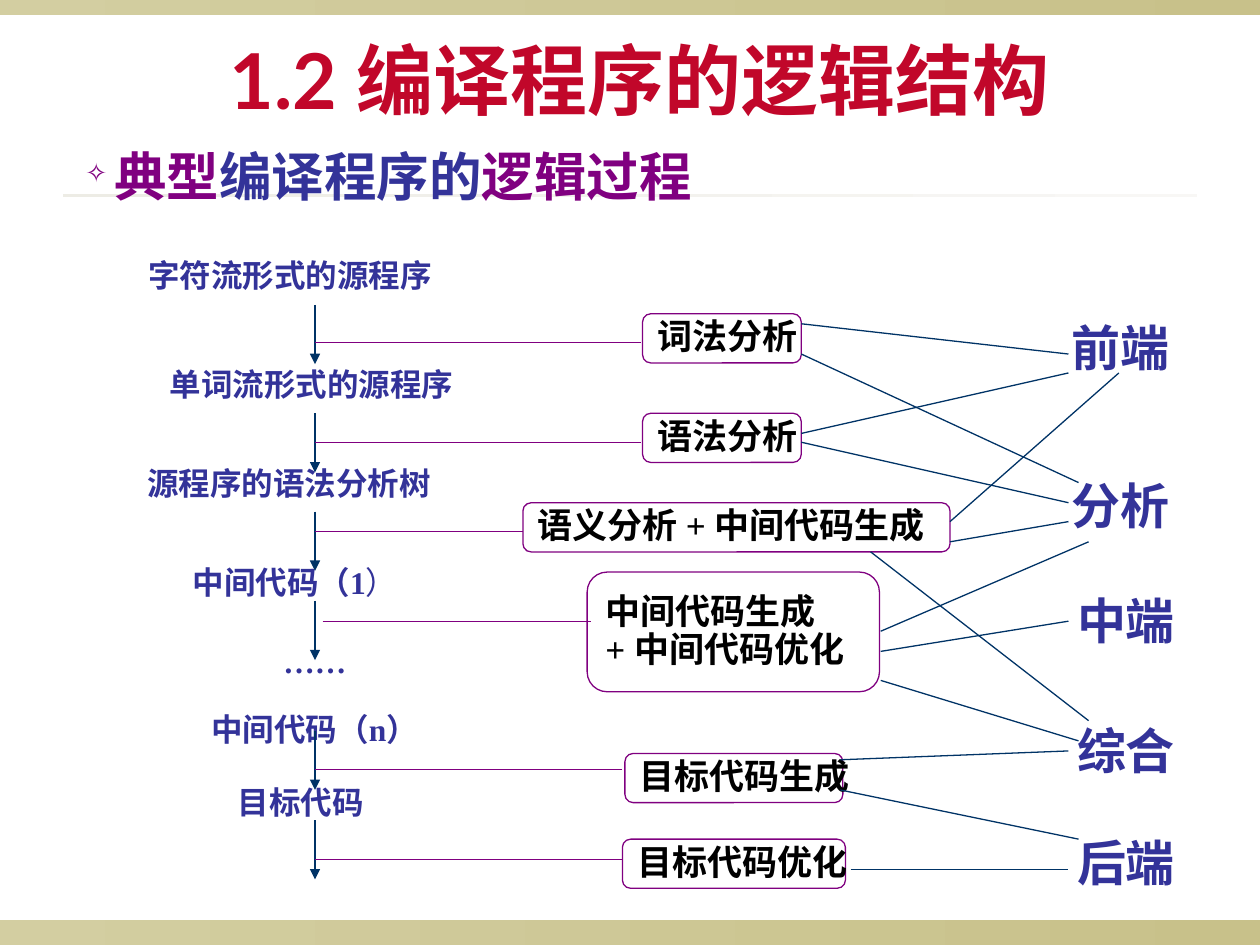
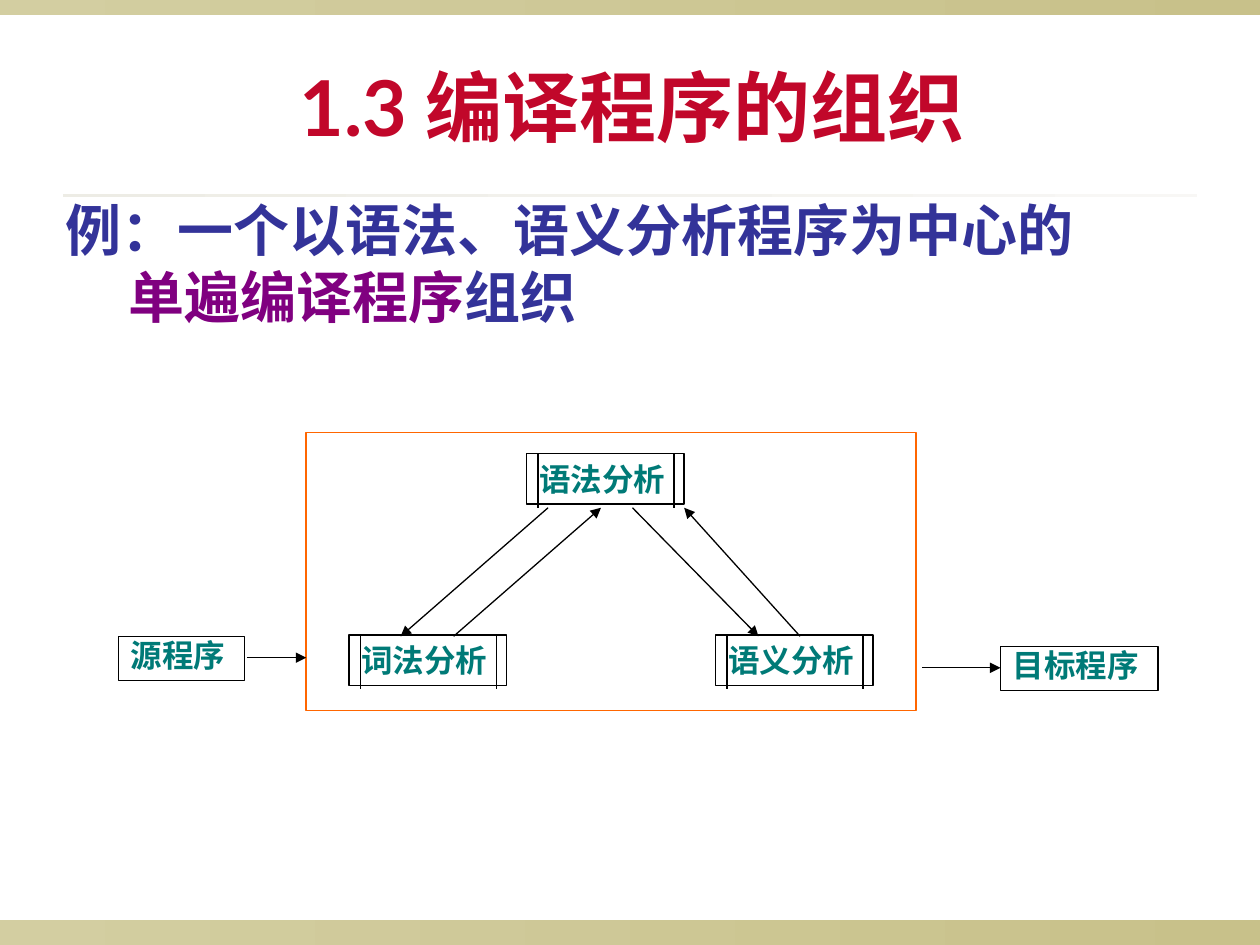
import pptx
import pptx.util
import pptx.dml.color
import pptx.enum.shapes
import pptx.enum.text
import pptx.oxml.ns
import lxml.etree

Inches = pptx.util.Inches
Pt = pptx.util.Pt
RGBColor = pptx.dml.color.RGBColor
Shape = pptx.enum.shapes.MSO_SHAPE
Align = pptx.enum.text.PP_ALIGN
Anchor = pptx.enum.text.MSO_ANCHOR
qn = pptx.oxml.ns.qn

RED = RGBColor(0xC1, 0x07, 0x2A)
BLUE = RGBColor(0x33, 0x33, 0x99)
PURPLE = RGBColor(0x80, 0x00, 0x80)
NAVY = RGBColor(0x00, 0x33, 0x66)
TEAL = RGBColor(0x00, 0x7A, 0x77)
ORANGE = RGBColor(0xFF, 0x66, 0x00)
BLACK = RGBColor(0, 0, 0)
WHITE = RGBColor(0xFF, 0xFF, 0xFF)
BAND_START = RGBColor(0xD3, 0xCE, 0xA1)
BAND_END = RGBColor(0xC8, 0xC1, 0x8A)
RULE_START = RGBColor(0xED, 0xEC, 0xE5)
RULE_END = RGBColor(0xF8, 0xF7, 0xF5)


def write(shape, lines, size, color, font="Times New Roman", align=Align.LEFT,
          spacing=1.0, wrap=True, anchor=Anchor.TOP):
    frame = shape.text_frame
    frame.word_wrap = wrap
    frame.vertical_anchor = anchor
    for index, line in enumerate(lines):
        paragraph = frame.paragraphs[0] if index == 0 else frame.add_paragraph()
        paragraph.alignment = align
        paragraph.line_spacing = spacing
        paragraph.font.name = font
        paragraph.font.size = Pt(size)
        paragraph.font.bold = True
        paragraph.font.color.rgb = color
        for text, run_color in line:
            run = paragraph.add_run()
            run.text = text
            if run_color:
                run.font.color.rgb = run_color
    return frame


def add_line(slide, x1, y1, x2, y2, color, arrow=False):
    line = slide.shapes.add_connector(
        pptx.enum.shapes.MSO_CONNECTOR.STRAIGHT,
        Inches(x1), Inches(y1), Inches(x2), Inches(y2))
    line.line.color.rgb = color
    line.line.width = Pt(0.75)
    if arrow:
        outline = line.line._get_or_add_ln()
        lxml.etree.SubElement(outline, qn("a:tailEnd"), type="triangle")
    lxml.etree.SubElement(line._element.spPr, qn("a:effectLst"))


presentation = pptx.Presentation()
presentation.slide_width = Inches(10)
presentation.slide_height = Inches(7.5)

bands = [
    (0, 7.3, 10, 0.2, BAND_START, BAND_END),
    (0, 0, 10, 0.12, BAND_START, BAND_END),
    (0.5, 1.54, 9, 0.02, RULE_START, RULE_END),
]
titles = [
    ("1.2 编译程序的逻辑结构", 0.58, 0, 9),
    ("1.3 编译程序的组织", 0.77, 0.21, 8.5),
]
slides = []
for title, left, top, width in titles:
    slide = presentation.slides.add_slide(presentation.slide_layouts[6])
    slides.append(slide)
    for x, y, w, h, start, end in bands:
        band = slide.shapes.add_shape(
            Shape.RECTANGLE, Inches(x), Inches(y), Inches(w), Inches(h))
        band.shadow.inherit = False
        band.line.fill.background()
        band.fill.gradient()
        band.fill.gradient_angle = 0
        for stop, color in zip(band.fill.gradient_stops, (start, end)):
            stop.color.rgb = color
    box = slide.shapes.add_textbox(Inches(left), Inches(top), Inches(width), Inches(1.25))
    write(box, [[(title, None)]], 44, RED, "Lato", Align.CENTER, anchor=Anchor.MIDDLE)

logic_slide, organization_slide = slides

heading = logic_slide.shapes.add_textbox(Inches(0.58), Inches(1.15), Inches(9), Inches(0.71))
frame = write(heading, [[("典型", PURPLE), ("编译程序的", None), ("逻辑过程", PURPLE)]],
              30, BLUE, "Arial", spacing=0.9)
properties = frame.paragraphs[0]._p.get_or_add_pPr()
properties.set("marL", str(Inches(0.23)))
properties.set("indent", str(-Inches(0.23)))
default_font = properties.find(qn("a:defRPr"))
bullet_color = lxml.etree.Element(qn("a:buClr"))
lxml.etree.SubElement(bullet_color, qn("a:srgbClr"), val=str(PURPLE))
default_font.addprevious(bullet_color)
default_font.addprevious(lxml.etree.Element(qn("a:buSzPct"), val="50000"))
default_font.addprevious(lxml.etree.Element(qn("a:buChar"), char="✧"))

phases = [
    (["词法分析"], 5.1, 2.49, 1.26, 0.39),
    (["语法分析"], 5.1, 3.28, 1.26, 0.39),
    (["语义分析 + 中间代码生成"], 4.15, 3.99, 3.39, 0.39),
    (["中间代码生成", "+ 中间代码优化"], 4.66, 4.54, 2.32, 0.95),
    (["目标代码优化"], 4.94, 6.66, 1.77, 0.39),
    (["目标代码生成"], 4.96, 5.98, 1.73, 0.39),
]
for lines, x, y, w, h in phases:
    phase = logic_slide.shapes.add_shape(
        Shape.ROUNDED_RECTANGLE, Inches(x), Inches(y), Inches(w), Inches(h))
    phase.shadow.inherit = False
    phase.fill.solid()
    phase.fill.fore_color.rgb = WHITE
    phase.line.color.rgb = PURPLE
    phase.line.width = Pt(0.75)
    write(phase, [[(line, None)] for line in lines], 20, BLACK,
          align=Align.JUSTIFY, spacing=0.9, wrap=False, anchor=Anchor.MIDDLE)

program_forms = [
    (["字符流形式的源程序"], 1.08, 2.02, 2.84),
    (["单词流形式的源程序"], 1.25, 2.88, 2.84),
    (["源程序的语法分析树"], 1.07, 3.67, 2.84),
    (["中间代码（1", "）"], 1.43, 4.45, 2.05),
    (["……"], 2.15, 5.08, 1.4),
    (["中间代码（n）"], 1.58, 5.62, 1.97),
    (["目标代码"], 1.79, 6.2, 1.34),
]
for pieces, x, y, w in program_forms:
    form = logic_slide.shapes.add_textbox(Inches(x), Inches(y), Inches(w), Inches(0.37))
    frame = write(form, [[(piece, None) for piece in pieces]], 18, BLUE,
                  align=Align.JUSTIFY, spacing=0.9)
    for run in frame.paragraphs[0].runs[1:]:
        run.font.bold = False

compiler_parts = [
    ("前端", 8.41, 2.52),
    ("分析", 8.41, 3.78),
    ("中端", 8.45, 4.69),
    ("综合", 8.45, 5.72),
    ("后端", 8.45, 6.61),
]
for text, x, y in compiler_parts:
    part = logic_slide.shapes.add_textbox(Inches(x), Inches(y), Inches(1.1), Inches(0.52))
    write(part, [[(text, None)]], 28, BLUE, align=Align.JUSTIFY, spacing=0.9)

for top in (2.42, 3.28, 4.06, 4.77, 5.8, 6.51):
    add_line(logic_slide, 2.5, top, 2.5, top + 0.47, NAVY, arrow=True)

for left, y, right in [(2.5, 2.72, 5.09), (2.5, 3.51, 5.09), (2.5, 4.22, 4.15),
                       (2.56, 4.93, 4.69), (2.5, 6.11, 4.94), (2.5, 6.82, 4.94)]:
    add_line(logic_slide, left, y, right, y, PURPLE)

phase_links = [
    (6.36, 2.57, 8.48, 2.81), (6.36, 2.81, 8.56, 3.83),
    (6.36, 3.44, 8.48, 2.96), (6.36, 3.51, 8.48, 3.99),
    (7.54, 4.14, 8.88, 2.96), (7.54, 4.3, 8.48, 4.14), (6.91, 4.38, 8.64, 5.72),
    (6.99, 5.01, 8.64, 4.3), (6.99, 5.17, 8.48, 4.93), (6.99, 5.4, 8.56, 5.88),
    (6.67, 6.03, 8.48, 5.96), (6.67, 6.27, 8.56, 6.66),
    (6.75, 6.9, 8.48, 6.9),
]
for link in phase_links:
    add_line(logic_slide, *link, NAVY)

example = organization_slide.shapes.add_textbox(
    Inches(0.42), Inches(1.5), Inches(8.92), Inches(1.38))
frame = write(example, [[("例：一个以语法、语义分析程序为中心的", None)],
                        [("单遍编译程序", PURPLE), ("组织", None)]], 32, BLUE, "Arial")
frame.paragraphs[1]._p.get_or_add_pPr().set("marL", str(Inches(0.5)))

compiler_frame = organization_slide.shapes.add_shape(
    Shape.RECTANGLE, Inches(2.43), Inches(3.43), Inches(4.84), Inches(2.21))
compiler_frame.shadow.inherit = False
compiler_frame.fill.background()
compiler_frame.line.color.rgb = ORANGE
compiler_frame.line.width = Pt(0.75)

modules = [
    ("源程序", 0.94, 5.05, 1, 0.35, False),
    ("目标程序", 7.94, 5.13, 1.25, 0.35, False),
    ("语法分析", 4.18, 3.6, 1.25, 0.4, True),
    ("词法分析", 2.77, 5.04, 1.25, 0.4, True),
    ("语义分析", 5.68, 5.04, 1.25, 0.4, True),
]
for text, x, y, w, h, is_procedure in modules:
    module = organization_slide.shapes.add_shape(
        Shape.RECTANGLE, Inches(x), Inches(y), Inches(w), Inches(h))
    module.shadow.inherit = False
    module.fill.background()
    module.line.color.rgb = BLACK
    module.line.width = Pt(0.75)
    frame = write(module, [[(text, None)]], 18, TEAL)
    if is_procedure:
        for offset in (0.09, 1.17):
            add_line(organization_slide, x + offset, y, x + offset, y + 0.43, BLACK)
    else:
        frame.margin_top = 0

calls = [
    (4.35, 4.03, 3.18, 5.05), (3.6, 5.05, 4.77, 4.03),
    (5.02, 4.03, 6.02, 5.05), (6.35, 5.05, 5.43, 4.03),
    (1.96, 5.22, 2.43, 5.22), (7.32, 5.3, 7.94, 5.3),
]
for call in calls:
    add_line(organization_slide, *call, BLACK, arrow=True)

presentation.save("out.pptx")
